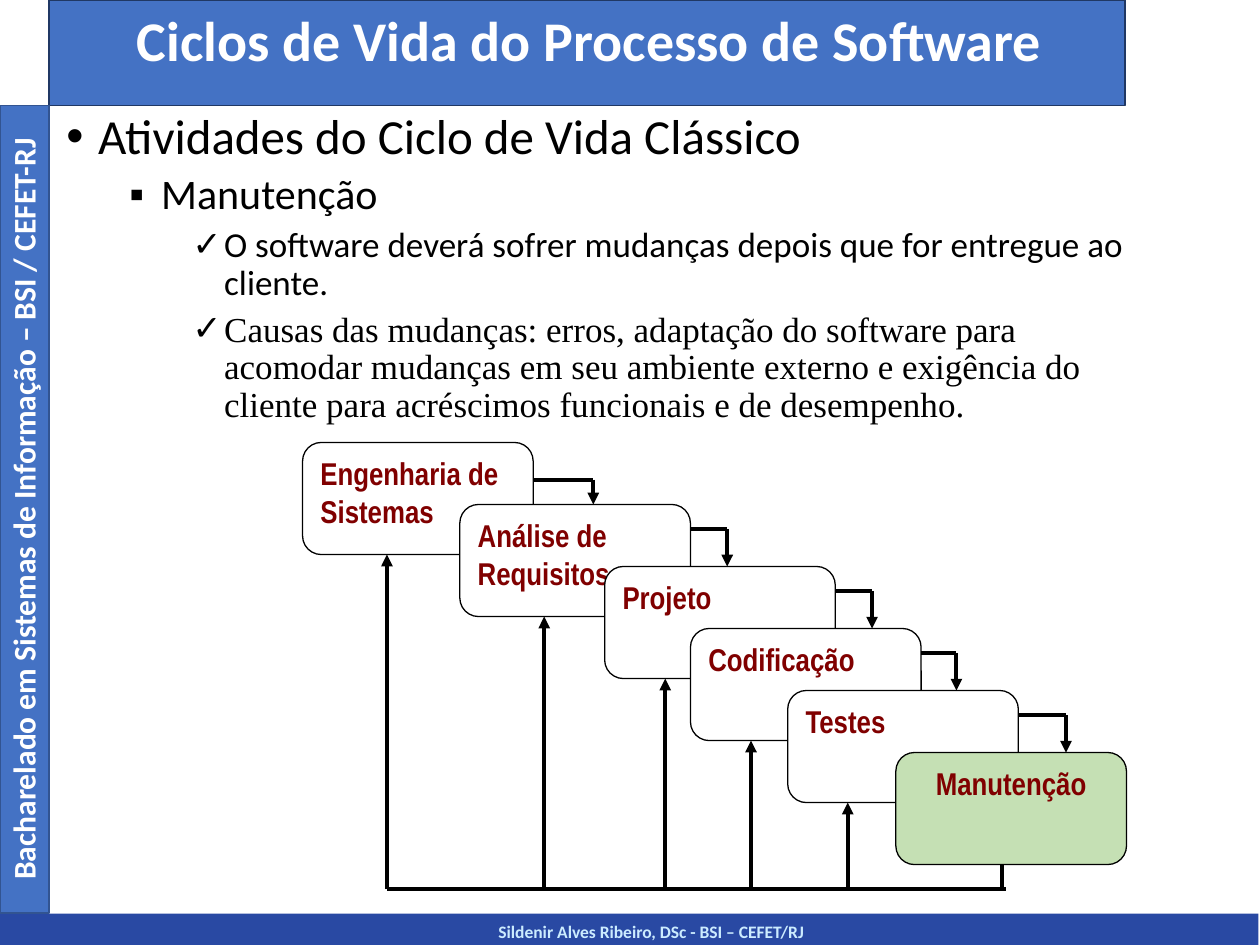
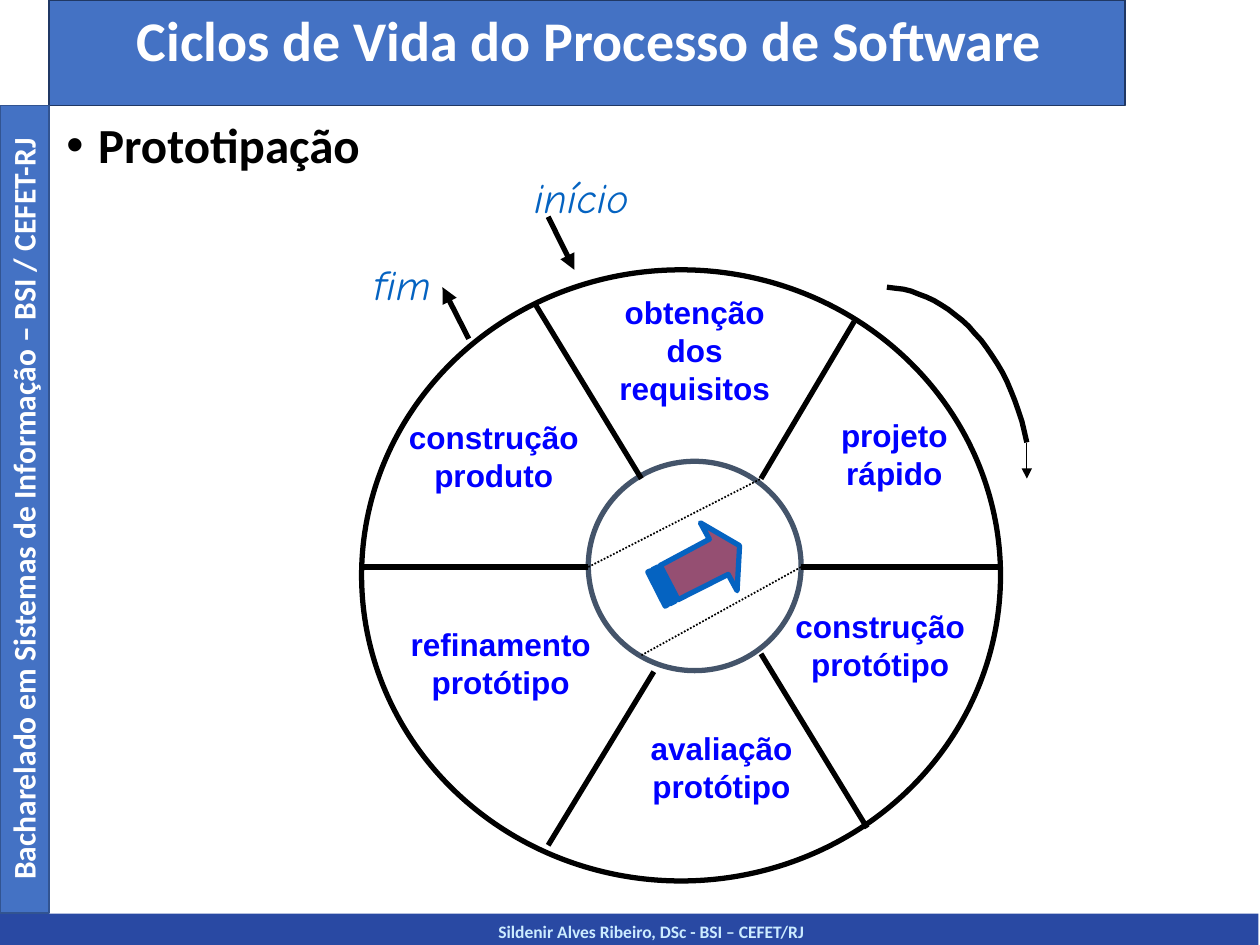
from lxml import etree
from pptx import Presentation
from pptx.dml.color import RGBColor
from pptx.enum.dml import MSO_LINE
from pptx.enum.shapes import MSO_CONNECTOR, MSO_SHAPE
from pptx.enum.text import MSO_ANCHOR, MSO_AUTO_SIZE, PP_ALIGN
from pptx.oxml.ns import qn
from pptx.util import Cm, Pt

LEFT, CENTER = PP_ALIGN.LEFT, PP_ALIGN.CENTER
RECTANGLE, ROUNDED, OVAL = MSO_SHAPE.RECTANGLE, MSO_SHAPE.ROUNDED_RECTANGLE, MSO_SHAPE.OVAL
STRAIGHT, DOTTED = MSO_CONNECTOR.STRAIGHT, MSO_LINE.ROUND_DOT

COLORS = {
    "black": "000000", "white": "FFFFFF", "band": "4472C4", "title_edge": "203864",
    "rail_edge": "325491", "footer": "2949A3", "footer_text": "CCECFF",
    "stage_text": "800000", "current_stage": "C5E0B4", "phase_text": "0000FF",
    "accent": "0563C1", "hub": "44546A", "arrow": "954F72",
}
TITLE = "Ciclos de Vida do Processo de Software"
RAIL_TEXT = "Bacharelado em Sistemas de Informação – BSI / CEFET-RJ"
FOOTER_TEXT = "Sildenir Alves Ribeiro, DSc - BSI – CEFET/RJ"


def write(shape, text, size, color="black", font="Calibri", bold=False, italic=False,
          align=LEFT, spacing=1.0, before=0, bullet=None, level=0):
    """Add one formatted paragraph, filling the first one while the shape is empty."""
    frame = shape.text_frame
    paragraph = frame.add_paragraph() if frame.text else frame.paragraphs[0]
    frame.word_wrap = True
    frame.vertical_anchor = MSO_ANCHOR.TOP
    paragraph.alignment = align
    paragraph.line_spacing = spacing
    paragraph.space_before = Pt(before)
    paragraph.level = level
    run = paragraph.add_run()
    run.text = text
    run.font.name, run.font.size = font, Pt(size)
    run.font.bold, run.font.italic = bold, italic
    run.font.color.rgb = RGBColor.from_string(COLORS[color])
    if bullet:
        properties = paragraph._p.get_or_add_pPr()
        properties.set("marL", str(Cm(0.64 + 1.27 * level)))
        properties.set("indent", str(Cm(-0.64)))
        etree.SubElement(properties, qn("a:buFont"), typeface="Arial")
        etree.SubElement(properties, qn("a:buChar"), char=bullet)


def style(shape, fill=None, line=None, width=1):
    shape.shadow.inherit = False
    if fill:
        shape.fill.solid()
        shape.fill.fore_color.rgb = RGBColor.from_string(COLORS[fill])
    else:
        shape.fill.background()
    if line:
        shape.line.color.rgb = RGBColor.from_string(COLORS[line])
        shape.line.width = Pt(width)
    else:
        shape.line.fill.background()


presentation = Presentation()
presentation.slide_width, presentation.slide_height = Cm(25.4), Cm(19.05)
title_only = presentation.slide_layouts[5]

# Bands, title and bullets of every slide
bands = [
    ((0, 18.42, 25.37, 0.63), "footer", None),
    ((0.99, 0, 21.69, 2.13), "band", "title_edge"),
    ((0, 2.13, 0.99, 16.28), "band", "rail_edge"),
]
bodies = [
    ((1.09, 2.13, 21.9, 6.6), [
        ("Atividades do Ciclo de Vida Clássico", dict(size=28, before=10, bullet="•")),
        ("Manutenção", dict(size=24, before=5, bullet="▪", level=1)),
        ("O software deverá sofrer mudanças depois que for entregue ao cliente.",
         dict(size=20, before=5, bullet="✓", level=2)),
        ("Causas das mudanças: erros, adaptação do software para acomodar mudanças em seu "
         "ambiente externo e exigência do cliente para acréscimos funcionais e de desempenho.",
         dict(size=20, before=5, bullet="✓", level=2, font="Times New Roman")),
    ]),
    ((1.09, 2.31, 24, 2.01), [
        ("Prototipação", dict(size=28, before=10, bullet="•", bold=True)),
    ]),
]
for body_box, bullets in bodies:
    slide = presentation.slides.add_slide(title_only)
    for box, fill, edge in bands:
        style(slide.shapes.add_shape(RECTANGLE, *map(Cm, box)), fill, edge)
    footer = slide.shapes.add_textbox(Cm(1.3), Cm(18.44), Cm(23.65), Cm(0.63))
    write(footer, FOOTER_TEXT, 10, "footer_text", bold=True, align=CENTER)
    rail = slide.shapes.add_textbox(Cm(-7.67), Cm(9.75), Cm(16.28), Cm(1.02))
    rail.rotation = 270
    write(rail, RAIL_TEXT, 18, "white", bold=True, align=CENTER)

    title = slide.shapes.title
    title.left, title.top, title.width, title.height = map(Cm, (1.09, 0.13, 21.59, 1.93))
    title.text_frame.auto_size = MSO_AUTO_SIZE.NONE
    write(title, TITLE, 32, "white", bold=True, align=CENTER, spacing=0.9)
    title.element.getparent().append(title.element)  # in front of its band

    body = slide.shapes.add_textbox(*map(Cm, body_box))
    for text, text_format in bullets:
        write(body, text, spacing=0.9, **text_format)

waterfall_slide, prototyping_slide = presentation.slides
lines = []  # slide, ends, width, arrow at the end, dash

# Waterfall: name, left, x of the return line, x and drop of the arrow to the next stage
STAGE_WIDTH, STAGE_HEIGHT, STAGE_STEP, BASELINE = 4.65, 2.26, 1.25, 17.93
stages = [
    ("Engenharia de Sistemas", 6.1, 7.8, 11.96, 0.5),
    ("Análise de Requisitos", 9.27, 10.97, 14.66, 0.75),
    ("Projeto", 12.19, 13.41, 17.58, 0.75),
    ("Codificação", 13.92, 15.14, 19.28, 0.75),
    ("Testes", 15.88, 17.09, 21.49, 0.75),
    ("Manutenção", 18.06, 20.19, None, None),
]
for index, (name, left, return_x, turn_x, drop) in enumerate(stages):
    top = 8.92 + index * STAGE_STEP
    bottom = top + STAGE_HEIGHT
    is_last = turn_x is None
    stage = waterfall_slide.shapes.add_shape(
        ROUNDED, Cm(left), Cm(top), Cm(STAGE_WIDTH), Cm(STAGE_HEIGHT))
    stage.adjustments[0] = 0.167
    style(stage, "current_stage" if is_last else "white", "black", 0.75)
    write(stage, name, 18, "stage_text", "Arial Narrow", bold=True,
          align=CENTER if is_last else LEFT)
    lines.append((waterfall_slide, (return_x, BASELINE, return_x, bottom), 2.25, not is_last, None))
    if not is_last:
        next_top = top + STAGE_STEP
        turn_y = next_top - drop
        lines += [
            (waterfall_slide, (left + STAGE_WIDTH, turn_y, turn_x, turn_y), 2.25, False, None),
            (waterfall_slide, (turn_x, turn_y, turn_x, next_top), 2.25, True, None),
        ]
lines.append((waterfall_slide, (7.8, BASELINE, 20.27, BASELINE), 2.25, False, None))

# Prototyping wheel
end_format = dict(size=24, color="accent", font="Comic Neue", italic=True)
phase_format = dict(size=18, color="phase_text", font="Arial", bold=True, align=CENTER)
labels = [
    ("fim", (7.29, 5.08, 2.95, 1.75), end_format),
    ("início", (10.52, 3.33, 2.95, 1.75), end_format),
    ("construção produto", (7.54, 8.31, 4.83, 2.82), phase_format),
    ("refinamento protótipo", (7.82, 12.47, 4.55, 2.82), phase_format),
    ("avaliação protótipo", (12.4, 14.58, 4.29, 2.82), phase_format),
    ("construção protótipo", (15.6, 12.12, 4.29, 2.82), phase_format),
    ("projeto rápido", (16.15, 8.26, 3.76, 2.82), phase_format),
    ("obtenção dos requisitos", (11.86, 5.79, 4.29, 3.51), phase_format),
]
for text, box, text_format in labels:
    label = prototyping_slide.shapes.add_shape(RECTANGLE, *map(Cm, box))
    style(label, "white")
    write(label, text, **text_format)

wheel = prototyping_slide.shapes.add_shape(OVAL, Cm(7.29), Cm(5.44), Cm(12.88), Cm(12.32))
style(wheel, line="black", width=3)
hub = prototyping_slide.shapes.add_shape(OVAL, Cm(11.86), Cm(9.3), Cm(4.29), Cm(4.22))
style(hub, line="hub", width=3)

# Outlines in hundredths of a centimetre
arrow_head = [(1412, 1054), (1430, 1087), (1331, 1140), (1367, 1209),
              (1468, 1158), (1486, 1191), (1491, 1100)]
arrow_stripes = [
    [(1316, 1148), (1351, 1217), (1361, 1212), (1326, 1143)],
    [(1306, 1153), (1341, 1222), (1346, 1219), (1311, 1151)],
]
builder = prototyping_slide.shapes.build_freeform(*arrow_head[0], scale=Cm(0.01))
builder.add_line_segments(arrow_head[1:], close=True)
for stripe in arrow_stripes:
    builder.move_to(*stripe[0])
    builder.add_line_segments(stripe[1:], close=True)
style(builder.convert_to_shape(), "arrow", "accent", 3)

curve_controls = [(1788, 579), (1920, 587), (2035, 714), (2070, 892)]
curve_points = []
for step in range(25):
    t = step / 24
    weights = ((1 - t) ** 3, 3 * t * (1 - t) ** 2, 3 * t ** 2 * (1 - t), t ** 3)
    curve_points.append(tuple(
        round(sum(weight * point[axis] for weight, point in zip(weights, curve_controls)))
        for axis in (0, 1)))
builder = prototyping_slide.shapes.build_freeform(*curve_points[0], scale=Cm(0.01))
builder.add_line_segments(curve_points[1:], close=False)
style(builder.convert_to_shape(), line="black", width=3)

spokes = [
    (10.8, 6.15, 12.93, 9.65), (17.22, 6.48, 15.34, 9.65), (16.15, 11.43, 20.17, 11.43),
    (15.34, 13.18, 17.48, 16.69), (13.18, 13.54, 11.05, 17.04), (11.86, 11.43, 7.29, 11.43),
]
hub_chords = [(11.86, 11.43, 15.34, 9.65), (12.93, 13.21, 16.15, 11.43)]
end_arrows = [(9.45, 6.83, 8.92, 5.79), (11.05, 4.37, 11.58, 5.44)]
lines += [(prototyping_slide, ends, 3, False, None) for ends in spokes]
lines += [(prototyping_slide, ends, 1, False, DOTTED) for ends in hub_chords]
lines += [(prototyping_slide, ends, 3, True, None) for ends in end_arrows]
lines.append((prototyping_slide, (20.7, 8.94, 20.7, 9.65), 0.75, True, None))

# Lines of both diagrams
for slide, ends, width, has_arrow, dash in lines:
    connector = slide.shapes.add_connector(STRAIGHT, *map(Cm, ends))
    connector.line.color.rgb = RGBColor.from_string(COLORS["black"])
    connector.line.width = Pt(width)
    if dash:
        connector.line.dash_style = dash
    properties = connector.element.spPr
    if has_arrow:
        etree.SubElement(properties.find(qn("a:ln")), qn("a:tailEnd"), type="triangle")
    etree.SubElement(properties, qn("a:effectLst"))

presentation.save("out.pptx")
